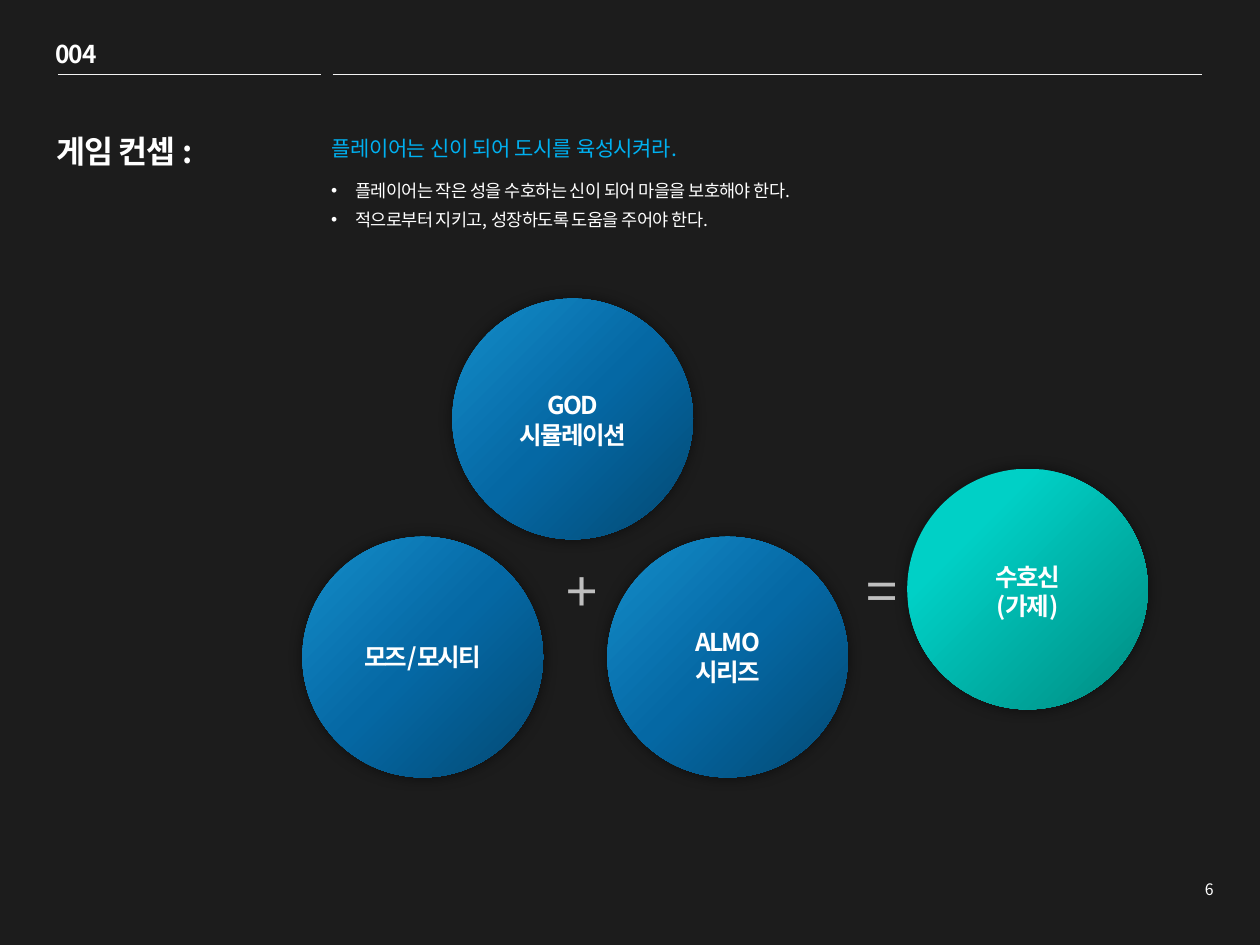
from dataclasses import dataclass

from lxml import etree
from pptx import Presentation
from pptx.dml.color import RGBColor
from pptx.enum.shapes import MSO_CONNECTOR, MSO_SHAPE
from pptx.enum.text import MSO_ANCHOR, PP_ALIGN
from pptx.oxml.ns import qn
from pptx.util import Inches, Pt

LEFT, CENTER, RIGHT = PP_ALIGN.LEFT, PP_ALIGN.CENTER, PP_ALIGN.RIGHT
TOP = MSO_ANCHOR.TOP
OVAL = MSO_SHAPE.OVAL
STRAIGHT = MSO_CONNECTOR.STRAIGHT


@dataclass(frozen=True)
class Theme:
    font: str = "Noto Sans CJK KR"
    background: str = "1C1C1C"
    text: str = "FFFFFF"
    accent: str = "00B0F0"
    operator: str = "BFBFBF"
    rule: str = "F2F2F2"
    shadow: str = "000000"
    source_stops: tuple = ((0, "034973"), (50, "0568A4"), (100, "148DCA"))
    result_stops: tuple = ((0, "008A80"), (74, "00D0C6"))
    title_size: int = 18
    label_size: int = 14
    lead_size: int = 12
    body_size: int = 10
    page_size: int = 9
    operator_size: int = 32


def add_xml(parent, tag, **attributes):
    values = {name: str(value) for name, value in attributes.items()}
    return etree.SubElement(parent, qn(tag), values)


class SlideBuilder:
    def __init__(self, slide, theme):
        self.slide = slide
        self.theme = theme
        background = slide.background.fill
        background.solid()
        background.fore_color.rgb = RGBColor.from_string(theme.background)

    def text(self, box, lines, size, color=None, bold=False, spacing=0,
             align=LEFT, line_spacing=None, bullets=False, wrap=True):
        frame = self.slide.shapes.add_textbox(*map(Inches, box)).text_frame
        frame.word_wrap = wrap
        frame.vertical_anchor = TOP
        paragraph_format = {"alignment": align, "line_spacing": line_spacing}
        font_format = {"name": self.theme.font, "size": Pt(size), "bold": bold}
        for index, line in enumerate(lines):
            paragraph = frame.add_paragraph() if index else frame.paragraphs[0]
            for name, value in paragraph_format.items():
                setattr(paragraph, name, value)
            if bullets:
                self.bullet(paragraph)
            run = paragraph.add_run()
            run.text = line
            for name, value in font_format.items():
                setattr(run.font, name, value)
            run.font.color.rgb = RGBColor.from_string(color or self.theme.text)
            properties = run._r.get_or_add_rPr()
            properties.set("spc", str(round(spacing * 100)))
            add_xml(properties, "a:ea", typeface=self.theme.font)

    def bullet(self, paragraph):
        properties = paragraph._p.get_or_add_pPr()
        indent = Inches(0.19)
        properties.set("marL", str(indent))
        properties.set("indent", str(-indent))
        add_xml(properties, "a:buFont", typeface="Arial")
        add_xml(properties, "a:buChar", char="•")

    def circle(self, left, top, diameter, stops):
        """Add a circle shaded from its lower right corner, with a soft shadow."""
        shape = self.slide.shapes.add_shape(
            OVAL, *map(Inches, (left, top, diameter, diameter)))
        shape.line.fill.background()
        properties = shape._element.spPr
        gradient = etree.Element(qn("a:gradFill"), rotWithShape="1")
        stop_list = add_xml(gradient, "a:gsLst")
        for position, color in stops:
            stop = add_xml(stop_list, "a:gs", pos=position * 1000)
            add_xml(stop, "a:srgbClr", val=color)
        path = add_xml(gradient, "a:path", path="circle")
        add_xml(path, "a:fillToRect", l=100000, t=100000)
        properties.find(qn("a:prstGeom")).addnext(gradient)

        effects = add_xml(properties, "a:effectLst")
        shadow = add_xml(effects, "a:outerShdw", blurRad=Pt(8), dist=0,
                         dir=50 * 60000, algn="ctr", rotWithShape=0)
        shade = add_xml(shadow, "a:srgbClr", val=self.theme.shadow)
        add_xml(shade, "a:alpha", val=52000)

    def rule(self, start, end, y):
        line = self.slide.shapes.add_connector(
            STRAIGHT, *map(Inches, (start, y, end, y)))
        line.line.color.rgb = RGBColor.from_string(self.theme.rule)
        line.line.width = Pt(0.25)
        add_xml(line._element.spPr, "a:effectLst")


def main():
    presentation = Presentation()
    presentation.slide_width, presentation.slide_height = Inches(10), Inches(7.5)
    theme = Theme()
    page = SlideBuilder(
        presentation.slides.add_slide(presentation.slide_layouts[6]), theme)

    page.text((0.34, 0.26, 0.54, 0.34), ["004"], theme.label_size,
              bold=True, spacing=-0.5, wrap=False)
    for start, end in ((0.46, 2.55), (2.64, 9.54)):
        page.rule(start, end, 0.59)

    page.text((0.35, 1, 2.05, 1.61), ["게임 컨셉 :"], theme.title_size,
              bold=True, spacing=-0.5)
    page.text((2.53, 1.03, 5.32, 0.3), ["플레이어는 신이 되어 도시를 육성시켜라."],
              theme.lead_size, color=theme.accent, spacing=-0.2)
    page.text((2.53, 1.31, 6.11, 0.57),
              ["플레이어는 작은 성을 수호하는 신이 되어 마을을 보호해야 한다.",
               "적으로부터 지키고, 성장하도록 도움을 주어야 한다."],
              theme.body_size, spacing=-0.3, line_spacing=1.4, bullets=True)

    diameter, label_width = 1.91, 1.29
    concepts = (
        (4.82, 4.26, 0.67, ["ALMO", "시리즈"], theme.source_stops),
        (2.4, 4.26, 0.79, ["모즈/모시티"], theme.source_stops),
        (7.2, 3.72, 0.69, ["수호신", "(가제)"], theme.result_stops),
        (3.59, 2.37, 0.68, ["GOD", "시뮬레이션"], theme.source_stops),
    )
    for left, top, label_offset, label, stops in concepts:
        page.circle(left, top, diameter, stops)
        label_left = left + (diameter - label_width) / 2
        label_height = 0.34 if len(label) == 1 else 0.57
        page.text((label_left, top + label_offset, label_width, label_height),
                  label, theme.label_size, bold=True, spacing=-1, align=CENTER)

    for operator, left in (("+", 4.4), ("=", 6.78)):
        page.text((left, 4.26, 0.3, 0.69), [operator], theme.operator_size,
                  color=theme.operator, spacing=-0.5, align=CENTER,
                  line_spacing=1.2)

    page.text((9.45, 6.93, 0.28, 0.25), ["6"], theme.page_size,
              align=RIGHT, wrap=False)
    presentation.save("out.pptx")


if __name__ == "__main__":
    main()
